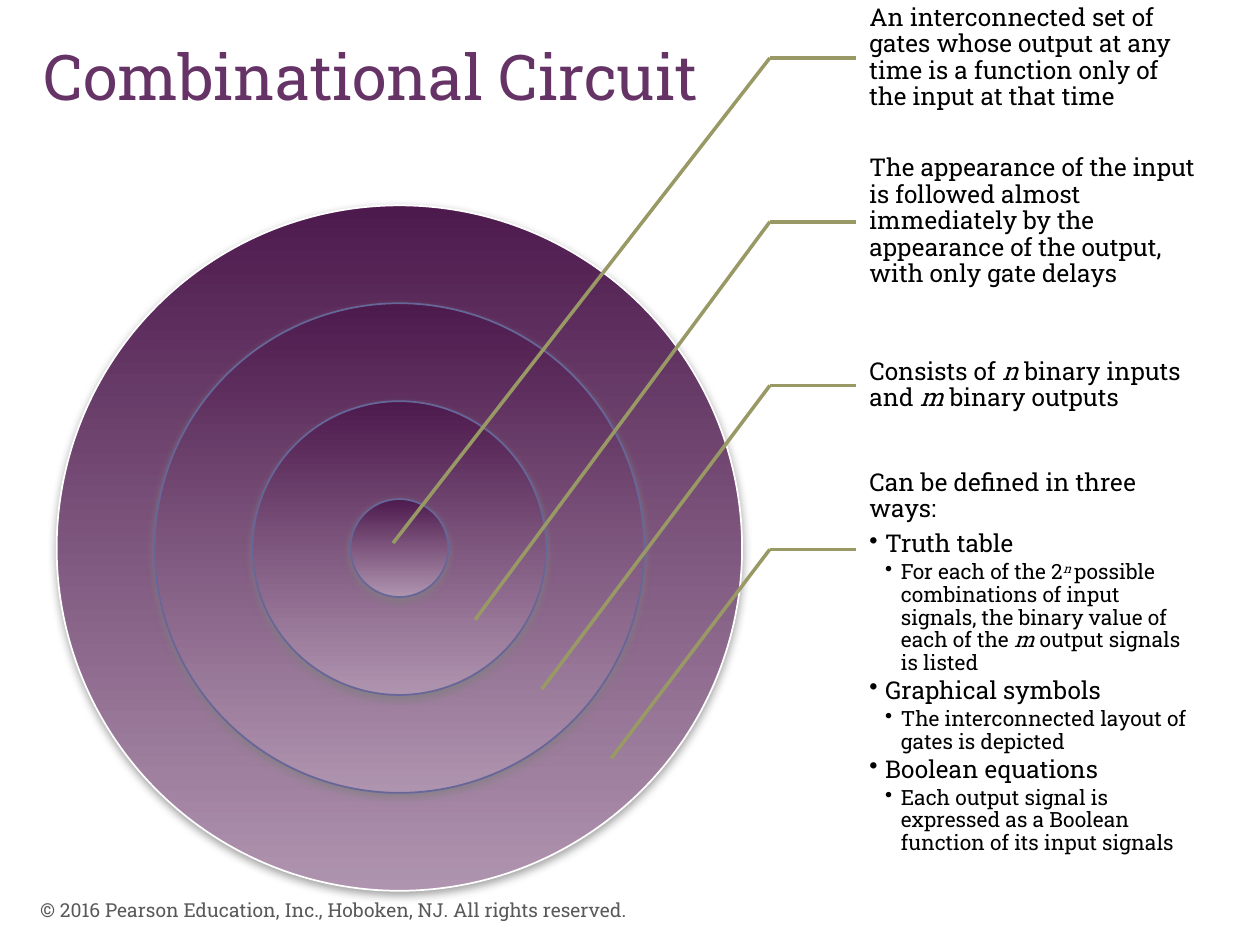
from lxml import etree
from pptx import Presentation
from pptx.dml.color import RGBColor
from pptx.enum.shapes import MSO_CONNECTOR, MSO_SHAPE
from pptx.enum.text import MSO_ANCHOR
from pptx.oxml.ns import qn
from pptx.util import Inches, Pt

STRAIGHT = MSO_CONNECTOR.STRAIGHT
OVAL = MSO_SHAPE.OVAL
TOP, MIDDLE = MSO_ANCHOR.TOP, MSO_ANCHOR.MIDDLE
LEFT_SIDE = 1

FONT = "Roboto Slab"
ITALIC = {"italic": True}
LABEL_INSETS = (0.11, 0.02, 0.02, 0.02)
BOX_INSETS = (0.1, 0.05, 0.1, 0.05)
# Per outline level: text size, left margin in inches, space after in points
LEVELS = [(14, 0, 4.9), (14, 0.125, 2.1), (12, 0.25, 1.8)]
BULLET_HANG = 0.125

# Each label: paragraphs of (level, runs), anchor, and the point its leader reaches
LABELS = [
    ([(0, [("An interconnected set of gates whose output at any time is a "
            "function only of the input at that time", {})])],
     MIDDLE, (3.12, 4.31)),
    ([(0, [("The appearance of the input is followed almost immediately by the "
            "appearance of the output, with only gate delays", {})])],
     MIDDLE, (3.77, 4.92)),
    ([(0, [("Consists of ", {}), ("n ", ITALIC), ("binary inputs and ", {}),
           ("m ", ITALIC), ("binary outputs", {})])],
     MIDDLE, (4.3, 5.47)),
    ([(0, [("Can be defined in three ways:", {})]),
      (1, [("Truth table", {})]),
      (2, [("For each of the 2", {}), ("n ", {"italic": True, "baseline": 30000}),
           ("possible combinations of input signals, the binary value of each of the ", {}),
           ("m ", ITALIC), ("output signals is listed", {})]),
      (1, [("Graphical symbols", {})]),
      (2, [("The interconnected layout of gates is depicted", {})]),
      (1, [("Boolean equations", {})]),
      (2, [("Each output signal is expressed as a Boolean function of its "
            "input signals", {})])],
     TOP, (4.85, 6.02)),
]


def rgb(hex_color):
    return RGBColor.from_string(hex_color)


def add_run(paragraph, text, size, color, italic=False, baseline=None):
    run = paragraph.add_run()
    run.text = text
    font_format = {"name": FONT, "size": Pt(size), "italic": italic}
    for attribute, value in font_format.items():
        setattr(run.font, attribute, value)
    run.font.color.rgb = rgb(color)
    if baseline:
        run.font._element.set("baseline", str(baseline))


def add_text_box(slide, box, anchor, insets=BOX_INSETS):
    text_box = slide.shapes.add_textbox(*map(Inches, box))
    left, top, right, bottom = map(Inches, insets)
    frame_format = {"word_wrap": True, "vertical_anchor": anchor,
                    "margin_left": left, "margin_top": top,
                    "margin_right": right, "margin_bottom": bottom}
    for attribute, value in frame_format.items():
        setattr(text_box.text_frame, attribute, value)
    return text_box


def add_caption(slide, box, text, size, color, anchor):
    caption = add_text_box(slide, box, anchor)
    add_run(caption.text_frame.paragraphs[0], text, size, color)


def add_soft_shadow(shape):
    shape.shadow.inherit = False
    effects = shape._element.spPr.find(qn("a:effectLst"))
    shadow = etree.SubElement(effects, qn("a:outerShdw"), blurRad=str(Pt(5)),
                              dist=str(Pt(2)), dir="5400000", rotWithShape="0")
    color = etree.SubElement(shadow, qn("a:srgbClr"), val="808080")
    etree.SubElement(color, qn("a:alpha"), val="75000")


def add_target(slide, box):
    """Concentric circles whose diameters are 7, 5, 3 and 1 parts of the box."""
    left, top, width, height = box
    for parts in (7, 5, 3, 1):
        diameter = width * parts / 7
        inset = (width - diameter) / 2
        circle = slide.shapes.add_shape(
            OVAL, Inches(left + inset), Inches(top + inset),
            Inches(diameter), Inches(diameter))
        circle.fill.gradient()
        circle.fill.gradient_angle = 270
        for stop, position, color in zip(circle.fill.gradient_stops,
                                         (0, 1), ("4D1A4D", "AF94AF")):
            stop.position = position
            stop.color.rgb = rgb(color)
        circle.line.color.rgb = rgb("FFFFFF" if parts == 7 else "666699")
        circle.line.width = Pt(1)
        add_soft_shadow(circle)


def set_bullet(paragraph, level, margin):
    paragraph.level = level
    properties = paragraph._p.get_or_add_pPr()
    properties.set("marL", str(Inches(margin)))
    properties.set("indent", str(-Inches(BULLET_HANG)))
    etree.SubElement(properties, qn("a:buChar"), char="•")


def add_leader(slide, start, end):
    leader = slide.shapes.add_connector(STRAIGHT, *map(Inches, start + end))
    leader.line.color.rgb = rgb("999966")
    leader.line.width = Pt(2)
    etree.SubElement(leader._element.spPr, qn("a:effectLst"))
    return leader


def add_label(slide, box, paragraphs, anchor, target):
    """A text box with a bent leader from its left side to the target point."""
    label = add_text_box(slide, box, anchor, LABEL_INSETS)
    frame = label.text_frame
    for index, (level, runs) in enumerate(paragraphs):
        paragraph = frame.add_paragraph() if index else frame.paragraphs[0]
        size, margin, space_after = LEVELS[level]
        if level:
            set_bullet(paragraph, level, margin)
        paragraph.line_spacing = 0.9
        paragraph.space_after = Pt(space_after)
        for text, style in runs:
            add_run(paragraph, text, size, "000000", **style)

    left, top, _, height = box
    middle = top + height / 2
    elbow = (left - 0.68, middle)
    add_leader(slide, elbow, (left, middle)).end_connect(label, LEFT_SIDE)
    add_leader(slide, elbow, target)


def add_labels(slide, box):
    left, top, width, height = box
    row = height / len(LABELS)
    for index, (paragraphs, anchor, target) in enumerate(LABELS):
        add_label(slide, (left, top + index * row, width, row),
                  paragraphs, anchor, target)


def main():
    presentation = Presentation()
    presentation.slide_width = Inches(10)
    presentation.slide_height = Inches(7.5)
    slide = presentation.slides.add_slide(presentation.slide_layouts[6])

    add_caption(slide, (0.25, 0.25, 8.26, 1.22), "Combinational Circuit",
                36, "663366", TOP)
    add_target(slide, (0.45, 1.63, 5.44, 5.44))
    add_labels(slide, (6.79, -0.19, 2.72, 5.2))
    add_caption(slide, (0.22, 7.02, 6.7, 0.4),
                "© 2016 Pearson Education, Inc., Hoboken, NJ. All rights reserved.",
                11, "595959", MIDDLE)
    presentation.save("out.pptx")


if __name__ == "__main__":
    main()
